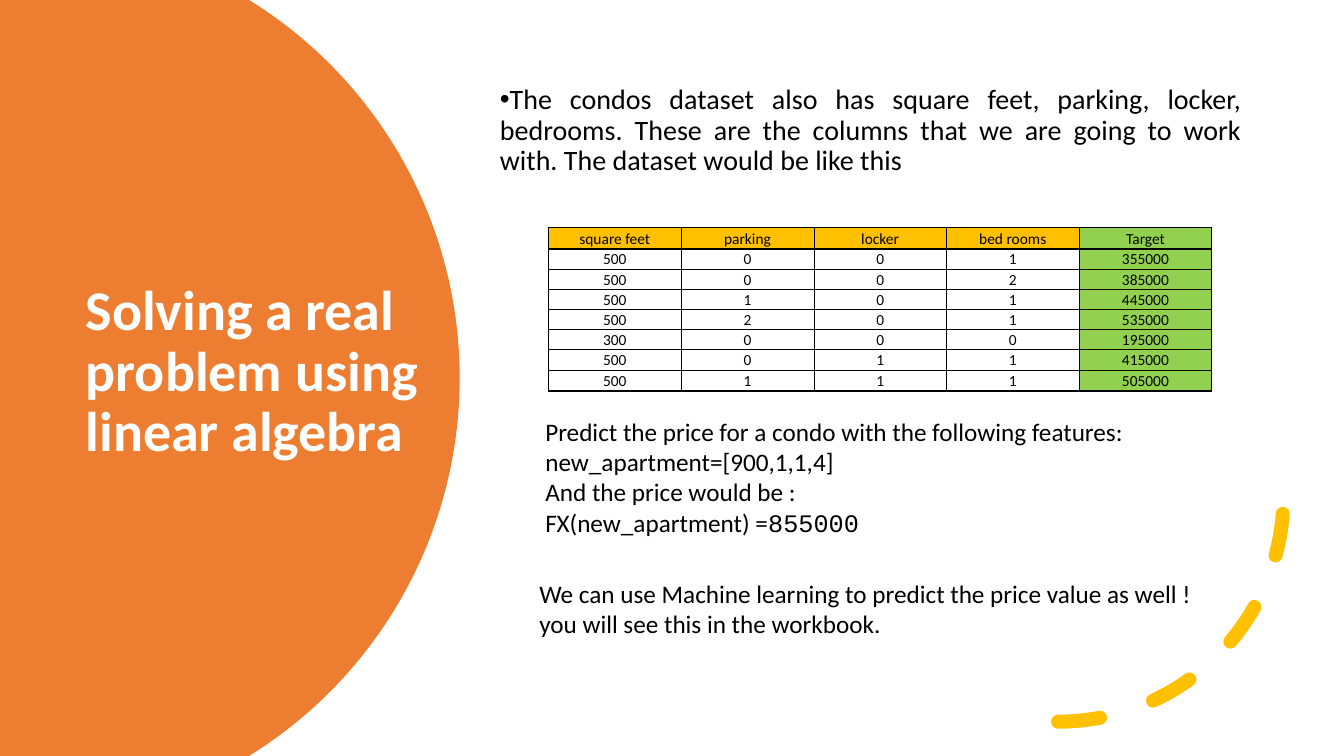
import math

from pptx import Presentation
from pptx import util as u
from pptx.dml.color import RGBColor
from pptx.enum import dml, shapes, text
from pptx.oxml import parse_xml
from pptx.oxml.ns import nsdecls, qn

PX = 9144  # 100 px to the inch
ORANGE, YELLOW, GREEN = "ED7D31", "FFC000", "92D050"
BLACK, WHITE = "000000", "FFFFFF"


def color(hex_code):
    return RGBColor.from_string(hex_code)


def add_run(paragraph, words, size, hex_code=BLACK, face="Calibri"):
    run = paragraph.add_run()
    run.text = words
    run.font.size = u.Pt(size)
    run.font.name = face
    run.font.color.rgb = color(hex_code)
    return run


deck = Presentation()
deck.slide_width, deck.slide_height = 1333 * PX, 750 * PX
slide = deck.slides.add_slide(deck.slide_layouts[5])

# Orange disc, cut off by the left, top and bottom edges
center_x, center_y, radius = 15, 375, 441
reach = math.asin(center_y / radius)
steps = 90
rim = []
for step in range(steps + 1):
    angle = reach * (2 * step / steps - 1)
    rim.append((round((center_x + radius * math.cos(angle)) * PX),
                round((center_y + radius * math.sin(angle)) * PX)))
outline = slide.shapes.build_freeform(0, 0)
outline.add_line_segments(rim + [(0, 750 * PX)], close=True)
disc = outline.convert_to_shape()
disc.shadow.inherit = False
disc.fill.solid()
disc.fill.fore_color.rgb = color(ORANGE)
disc.line.fill.background()

# Title, moved in front of the disc
title = slide.shapes.title
title.left, title.top, title.width, title.height = (n * PX for n in (75, 126, 350, 488))
slide.shapes._spTree.append(title.element)
title.text_frame.word_wrap = True
title.text_frame.auto_size = text.MSO_AUTO_SIZE.NONE
title.text_frame.vertical_anchor = text.MSO_ANCHOR.MIDDLE
heading = title.text_frame.paragraphs[0]
heading.alignment = text.PP_ALIGN.LEFT
heading.line_spacing = 0.9
add_run(heading, "Solving a real problem using linear algebra", 40, WHITE).font.bold = True

# Dashed arc in the lower right corner
arc = slide.shapes.add_shape(shapes.MSO_SHAPE.ARC, 826 * PX, 269 * PX, 447 * PX, 447 * PX)
arc.shadow.inherit = False
arc.fill.background()
arc.line.color.rgb = color(YELLOW)
arc.line.width = u.Pt(10)
arc.line.dash_style = dml.MSO_LINE.DASH
arc.element.spPr.find(qn("a:ln")).set("cap", "rnd")
arc.element.spPr.find(qn("a:xfrm")).set("flipV", "1")

# Text blocks: box, then paragraphs made of (words, font) runs
intro = ("The condos dataset also has square feet, parking, locker, bedrooms. These are the "
         "columns that we are going to work with. The dataset would be like this")
blocks = [
    ((486, 65, 755, 130), 20, [[(intro, "Calibri")]]),
    ((531, 408, 601, 132), 18, [
        [("Predict the price for a condo with the following features:", "Calibri")],
        [("new_apartment=[900,1,1,4]", "Calibri")],
        [("And the price would be :", "Calibri")],
        [("FX(new_apartment) =", "Calibri"), ("855000", "Courier New")],
    ]),
    ((525, 569, 675, 71), 18, [
        [("We can use Machine learning to predict the price value as well !", "Calibri")],
        [("you will see this in the workbook.", "Calibri")],
    ]),
]
frames = []
for box, size, paragraphs in blocks:
    frame = slide.shapes.add_textbox(*(n * PX for n in box)).text_frame
    frame.word_wrap = True
    frames.append(frame)
    for i, runs in enumerate(paragraphs):
        paragraph = frame.add_paragraph() if i else frame.paragraphs[0]
        for words, face in runs:
            add_run(paragraph, words, size, face=face)

frames[0].vertical_anchor = text.MSO_ANCHOR.MIDDLE
bullet = frames[0].paragraphs[0]
bullet.alignment = text.PP_ALIGN.JUSTIFY
bullet.line_spacing = 0.9
bullet_props = bullet._p.get_or_add_pPr()
bullet_props.set("marL", "0")
bullet_props.set("indent", str(-25 * PX))
bullet_props.append(parse_xml(f'<a:buFont {nsdecls("a")} typeface="Arial"/>'))
bullet_props.append(parse_xml(f'<a:buChar {nsdecls("a")} char="•"/>'))

# Condo data
condos = [
    ("square feet", "parking", "locker", "bed rooms", "Target"),
    (500, 0, 0, 1, 355000),
    (500, 0, 0, 2, 385000),
    (500, 1, 0, 1, 445000),
    (500, 2, 0, 1, 535000),
    (300, 0, 0, 0, 195000),
    (500, 0, 1, 1, 415000),
    (500, 1, 1, 1, 505000),
]
last_row, last_col = len(condos) - 1, len(condos[0]) - 1
table = slide.shapes.add_table(len(condos), len(condos[0]),
                               544 * PX, 226 * PX, 658 * PX, 162 * PX).table
table.first_row = table.horz_banding = False
for column in table.columns:
    column.width = 658 * PX // len(condos[0])
for r, condo in enumerate(condos):
    table.rows[r].height = (21 if r in (0, last_row) else 20) * PX
    for c, value in enumerate(condo):
        cell = table.cell(r, c)
        cell.margin_left = cell.margin_right = cell.margin_top = PX
        cell.margin_bottom = 0
        cell.vertical_anchor = text.MSO_ANCHOR.BOTTOM
        paragraph = cell.text_frame.paragraphs[0]
        paragraph.alignment = text.PP_ALIGN.CENTER
        add_run(paragraph, str(value), 11)
        heavy_sides = {"L": c == 0, "R": c == last_col,
                       "T": r in (0, 1), "B": r in (0, last_row)}
        for side, heavy in heavy_sides.items():
            cell._tc.get_or_add_tcPr().append(parse_xml(
                f'<a:ln{side} {nsdecls("a")} w="{u.Pt(1 if heavy else 0.5)}"><a:solidFill>'
                f'<a:srgbClr val="{BLACK}"/></a:solidFill></a:ln{side}>'))
        if c == last_col or r == 0:
            cell.fill.solid()
            cell.fill.fore_color.rgb = color(GREEN if c == last_col else YELLOW)
        else:
            cell.fill.background()

deck.save("out.pptx")
